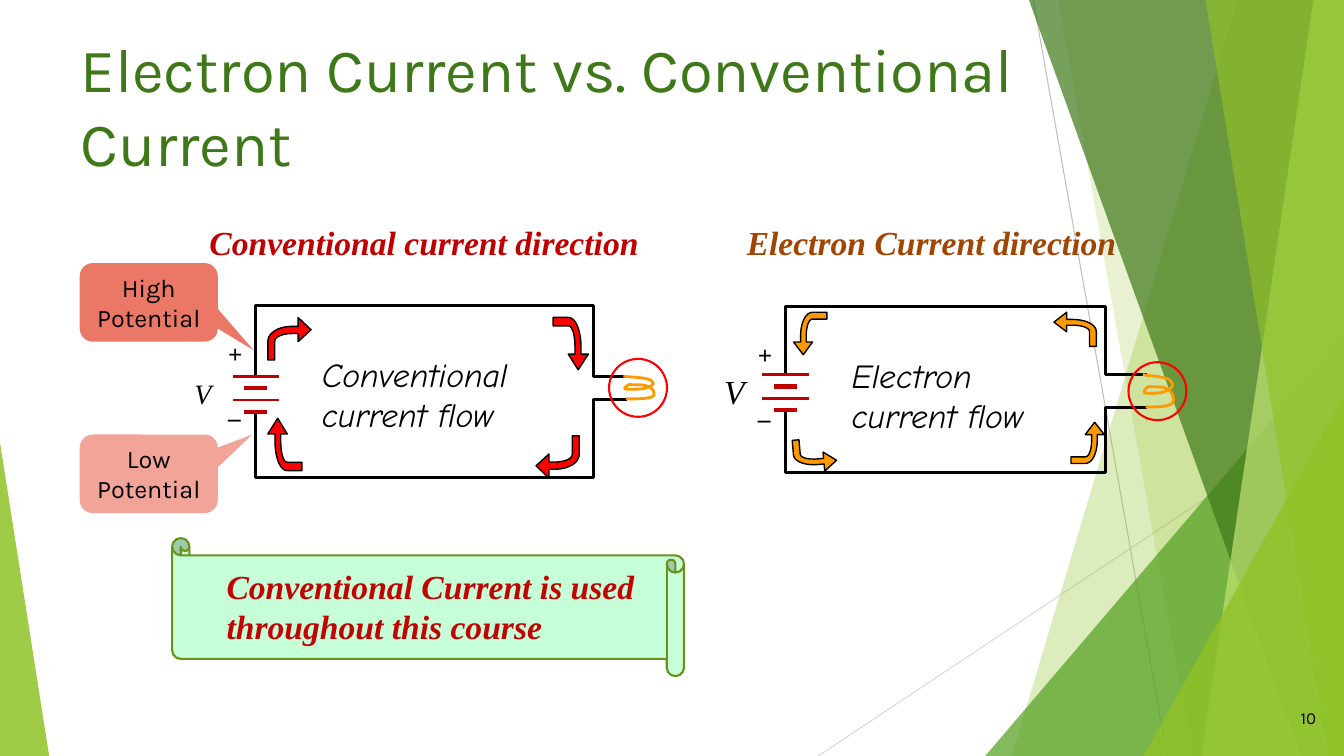
from dataclasses import dataclass

from lxml import etree
from pptx import Presentation
from pptx import util as u
from pptx.dml.color import RGBColor
from pptx.enum import shapes, text
from pptx.oxml import ns


@dataclass(frozen=True)
class Theme:
    sans: str = "Karla"
    serif: str = "Times New Roman"
    hand: str = "Comic Neue"
    ink: str = "000000"
    title: str = "3F7819"
    lime: str = "90C226"
    leaf: str = "54A021"
    pale: str = "C0E474"
    red: str = "FF0000"
    orange: str = "FF9900"
    battery: str = "C00000"
    brown: str = "A04602"
    high: str = "EB7766"
    low: str = "F2A499"
    scroll: str = "C6FED7"
    scroll_line: str = "6B901C"
    note: str = "C10403"
    title_size: int = 44
    big: int = 24
    medium: int = 20
    body: int = 18
    small: int = 12


T = Theme()
PRESET = shapes.MSO_SHAPE
ALIGN = text.PP_ALIGN
ANCHOR = text.MSO_ANCHOR

BENT_ARROW = [(1, .29), (.7, 0), (.7, .21), (.56, .21),
              ((.25, .21), (0, .36), (0, .57)), (0, 1), (.16, 1), (.16, .57),
              ((.16, .45), (.35, .38), (.56, .38)), (.7, .38), (.7, .57)]
COIL = [(0, 0), ((.27, .06), (.61, .03), (.88, .18)),
        ((.88, .21), (.94, .27), (.94, .33)), ((.88, .45), (.7, .52), (.55, .55)),
        ((.4, .55), (.21, .58), (.06, .55)), ((0, .52), (.12, .39), (.18, .36)),
        ((.64, .39), (.67, .33), (.91, .55)), ((.94, .64), (1, .73), (.94, .85)),
        ((.82, 1), (.15, .97), (.09, .97))]
TURNS = {"right": lambda x, y: (x, y),
         "left": lambda x, y: (1 - x, 1 - y),
         "down": lambda x, y: (1 - y, x),
         "up": lambda x, y: (y, 1 - x),
         "left_mirrored": lambda x, y: (1 - x, y),
         "right_mirrored": lambda x, y: (x, 1 - y),
         "up_mirrored": lambda x, y: (1 - y, 1 - x),
         "down_mirrored": lambda x, y: (y, x)}


def cm(*values):
    return [u.Cm(v) for v in values]


def rgb(value):
    return RGBColor.from_string(value)


def paint(sp, fill=None, line=None, width=1, alpha=None):
    sp.shadow.inherit = False
    if fill:
        sp.fill.solid()
        sp.fill.fore_color.rgb = rgb(fill)
    else:
        sp.fill.background()
    if alpha:
        clr = sp.element.spPr.find(".//" + ns.qn("a:srgbClr"))
        etree.SubElement(clr, ns.qn("a:alpha")).set("val", str(alpha * 1000))
    if line:
        sp.line.color.rgb = rgb(line)
        sp.line.width = u.Pt(width)
    else:
        sp.line.fill.background()
    return sp


def write(sp, words, font, size, color=T.ink, bold=False, italic=False,
          align=ALIGN.LEFT, anchor=ANCHOR.TOP, wrap=True):
    tf = sp.text_frame
    tf.text = words
    tf.word_wrap = wrap
    tf.vertical_anchor = anchor
    for p in tf.paragraphs:
        p.alignment = align
        for r in p.runs:
            r.font.name, r.font.size = font, u.Pt(size)
            r.font.bold, r.font.italic = bold, italic
            r.font.color.rgb = rgb(color)
    return tf


def label(s, box, words, font, size, **style):
    return write(s.shapes.add_textbox(*cm(*box)), words, font, size, **style)


def line(s, ends, color, width):
    c = s.shapes.add_connector(shapes.MSO_CONNECTOR.STRAIGHT, *cm(*ends))
    c.line.color.rgb = rgb(color)
    c.line.width = u.Pt(width)
    etree.SubElement(c.element.spPr, ns.qn("a:effectLst"))


def outline(s, points, close=False):
    pts = [tuple(cm(*p)) for p in points]
    builder = s.shapes.build_freeform(*pts[0])
    builder.add_line_segments(pts[1:], close=close)
    return builder.convert_to_shape()


def flatten(steps, n=10):
    pts = []
    for step in steps:
        if isinstance(step[0], tuple):
            a, (b, c, d) = pts[-1], step
            for t in (i / n for i in range(1, n + 1)):
                k = 1 - t
                pts.append(tuple(k**3 * a[i] + 3 * k * k * t * b[i]
                                 + 3 * k * t * t * c[i] + t**3 * d[i] for i in (0, 1)))
        else:
            pts.append(step)
    return pts


def curve(s, box, steps, turn="right", close=False):
    x, y, w, h = box
    unit = [TURNS[turn](*p) for p in flatten(steps)]
    return outline(s, [(x + w * px, y + h * py) for px, py in unit], close)


def backdrop(s, box):
    x, y, w, h = box
    right, bottom = x + w, y + h

    def facet(top_x, bottom_x, color, alpha):
        edge = [(x + top_x, y), (right, y), (right, bottom), (x + bottom_x, bottom)]
        paint(outline(s, edge, True), color, alpha=alpha)

    def wedge(left, width, height, apex, color, alpha):
        sp = s.shapes.add_shape(PRESET.ISOSCELES_TRIANGLE,
                                *cm(left, bottom - height, width, height))
        sp.adjustments[0] = apex
        paint(sp, color, alpha=alpha)

    line(s, (x + 26.04, y, x + 29.41, bottom), "BFBFBF", .75)
    line(s, (right, y + 10.24, x + 20.62, bottom), "D9D9D9", .75)
    facet(31.19, 25.5, T.lime, 30)
    facet(26.67, 30.05, T.lime, 20)
    wedge(right - 9.04, 9.04, 10.59, 1, T.leaf, 72)
    facet(25.93, 32.79, T.title, 70)
    facet(33.1, 30.28, T.pale, 70)
    facet(30.38, 33.48, T.lime, 65)
    wedge(right - 5.05, 5.05, 9.07, 1, T.lime, 80)
    wedge(x, 1.24, 7.9, 0, T.lime, 85)


def circuit(s, box, words, color, v_size, lead, gap, arrows):
    x, y, w, h = box
    right, bottom = x + w, y + h
    cell, step = y + .41 * h, .3
    end = right + lead
    outer = [(x, cell), (x, y), (right, y), (right, cell), (end, cell)]
    inner = [(end, cell + gap), (right, cell + gap), (right, bottom),
             (x, bottom), (x, cell + 3 * step)]
    for wire in (outer, inner):
        paint(outline(s, wire), line=T.ink, width=2)
    for i in range(4):
        half, width = ((.59, 2), (.29, 3))[i % 2]
        level = cell + i * step
        line(s, (x - half, level, x + half, level), T.battery, width)
    paint(curve(s, (end - .1, cell, .8, gap), COIL), line=T.orange, width=2)
    ring = 1.46
    paint(s.shapes.add_shape(PRESET.OVAL, *cm(end + .27 - ring / 2, cell + gap / 2 - ring / 2,
                                              ring, ring)), line=T.red, width=1.5)
    label(s, (x - 1.8, y + .51 * h - .6, 1, 1.2), "V", T.serif, v_size,
          italic=True, anchor=ANCHOR.MIDDLE, wrap=False)
    tf = label(s, (x - .95, y + .7, .9, 2.5), "+\n_", T.serif, T.body, bold=True, wrap=False)
    tf.paragraphs[1].space_before = u.Pt(18)
    label(s, (x + 1.41, y + 1.09, 5.6, 2.3), words, T.hand, T.big, italic=True, wrap=False)
    for turn, (dx, dy, aw, ah), tilt in arrows:
        sp = curve(s, (x + dx, y + dy, aw, ah), BENT_ARROW, turn, True)
        sp.rotation = tilt
        paint(sp, color, T.ink)


def callout(s, box, words, color, tail):
    sp = paint(s.shapes.add_shape(PRESET.ROUNDED_RECTANGULAR_CALLOUT, *cm(*box)), color)
    for i, value in enumerate((*tail, .167)):
        sp.adjustments[i] = value
    write(sp, words, T.sans, T.body, align=ALIGN.CENTER, anchor=ANCHOR.MIDDLE)


def scroll(s, box, words):
    x, y, w, h = box
    sp = paint(s.shapes.add_shape(PRESET.HORIZONTAL_SCROLL, *cm(*box)),
               T.scroll, T.scroll_line, 1.5)
    sp.element.spPr.xfrm.set("flipH", "1")
    label(s, (x + 1.12, y + .43, w - 1.6, h - .9), words, T.serif, T.big,
          color=T.note, bold=True, italic=True, anchor=ANCHOR.MIDDLE)


def main():
    prs = Presentation()
    prs.slide_width, prs.slide_height = cm(33.87, 19.05)
    s = prs.slides.add_slide(prs.slide_layouts[6])
    backdrop(s, (0, 0, 33.87, 19.05))
    label(s, (1.78, .66, 24.46, 3.18), "Electron Current vs. Conventional Current",
          T.sans, T.title_size, color=T.title)
    label(s, (31.52, 17.58, 1.9, 1.02), "10", T.sans, T.small,
          align=ALIGN.RIGHT, anchor=ANCHOR.MIDDLE)
    for left, words, color in ((5.03, "Conventional current direction", T.battery),
                               (18.57, "Electron Current direction", T.brown)):
        label(s, (left, 5.46, 11.7, 1.28), words, T.serif, T.big,
              color=color, bold=True, italic=True)
    circuit(s, (6.45, 7.7, 8.5, 4.34), "Conventional\ncurrent flow", T.red, T.medium, .86, .59,
            [("right", (.3, .3, 1.09, 1.07), 0), ("down", (7.49, .3, .89, 1.32), 0),
             ("left", (7.06, 3.28, 1.09, 1.07), 0), ("up", (.3, 2.84, .86, 1.32), 0)])
    circuit(s, (19.8, 7.72, 8.06, 4.19), "Electron\ncurrent flow", T.orange, T.big, 1.04, .84,
            [("down_mirrored", (.2, .15, .84, 1.07), 0),
             ("left_mirrored", (6.76, .15, 1.07, .86), 0),
             ("up_mirrored", (7.19, 2.92, .84, 1.04), 0),
             ("right_mirrored", (.2, 3.33, 1.07, .84), -5)])
    scroll(s, (4.34, 13.56, 12.9, 3.48), "Conventional Current is used throughout this course")
    callout(s, (2.01, 6.63, 3.48, 1.98), "High Potential", T.high, (.76, .61))
    callout(s, (2.01, 10.95, 3.48, 1.98), "Low\nPotential", T.low, (.75, -.5))
    prs.save("out.pptx")


if __name__ == "__main__":
    main()
